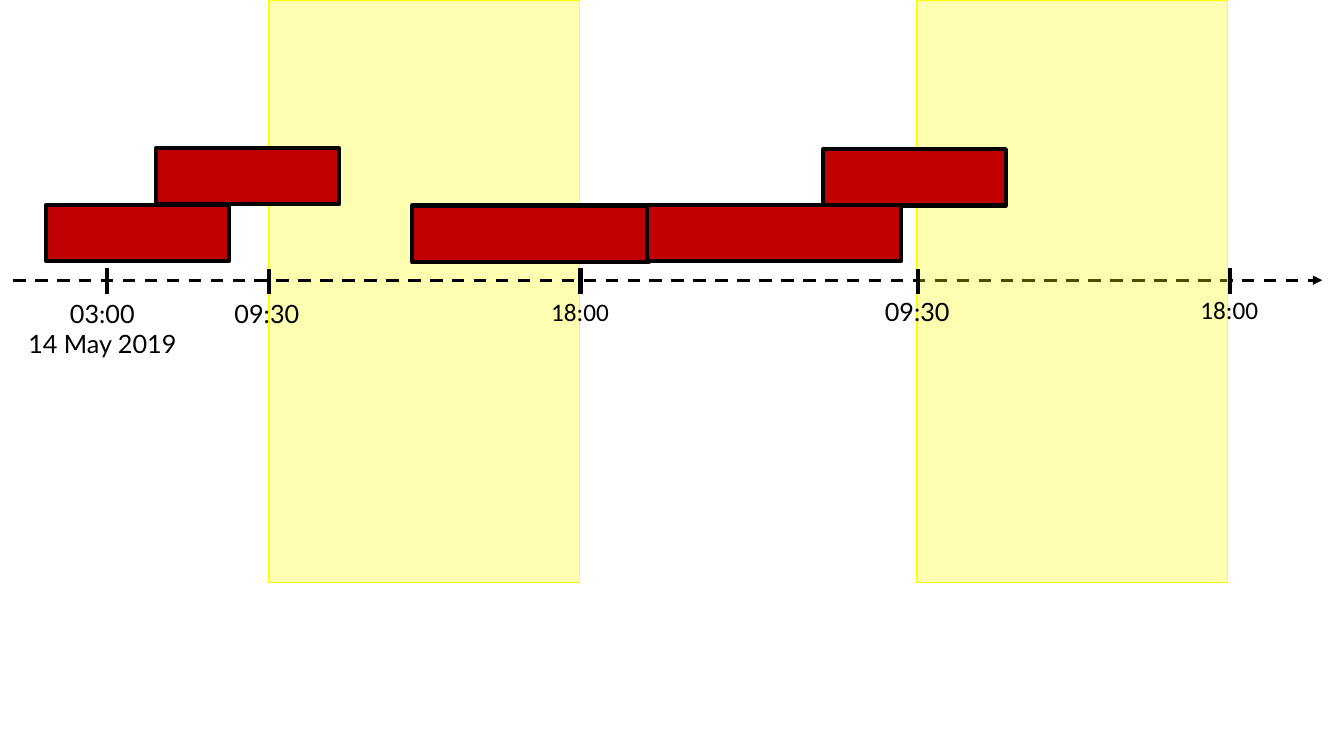
import pptx
import pptx.util
import pptx.dml.color
import pptx.enum.dml
import pptx.enum.shapes
import pptx.enum.text
import pptx.oxml
import pptx.oxml.ns
from pptx.util import Cm

# Content: all lengths in centimetres
BANDS = [6.78, 23.11]  # left edges of the working hours
BAND_SIZE = (7.82, 14.68)
AXIS = (0.33, 33.32, 7.06)  # start, end, height on the page
BAR_HEIGHT = 1.42
BARS = [  # left, top, width
    (1.17, 5.16, 4.6),
    (3.94, 3.73, 4.6),
    (10.39, 5.18, 5.97),
    (20.75, 3.76, 4.6),
    (16.31, 5.16, 6.4),
]
TICK_LENGTH = 0.64
TICKS = [(2.69, 6.76), (6.78, 6.78), (14.63, 6.76), (23.14, 6.78), (30.99, 6.76)]
LABELS = [  # lines, font role, left, top, width, height
    (["03:00", "14 May 2019"], "date_font", 0.41, 7.39, 4.34, 1.8),
    (["09:30"], "date_font", 5.66, 7.39, 2.16, 1.02),
    (["18:00"], "close_font", 13.64, 7.34, 1.98, 1.02),
    (["09:30"], "date_font", 22.05, 7.34, 2.16, 1.02),
    (["18:00"], "close_font", 30, 7.29, 1.98, 1.02),
]

THEME = {
    "band": "FFFF00",
    "bar": "C00000",
    "ink": "000000",
    "date_font": "Lato",
    "close_font": "Calibri",
    "text_size": 18,
    "band_line": 1,
    "axis_line": 2.25,
    "heavy_line": 3,
    "band_alpha": 30,
}


def color(role):
    return pptx.dml.color.RGBColor.from_string(THEME[role])


def add_xml(parent, tag, **attributes):
    child = pptx.oxml.parse_xml(f"<{tag} {pptx.oxml.ns.nsdecls('a')}/>")
    for key, value in attributes.items():
        child.set(key, value)
    parent.append(child)


def add_box(page, left, top, width, height, fill, line, weight):
    box = page.shapes.add_shape(
        pptx.enum.shapes.MSO_SHAPE.RECTANGLE, Cm(left), Cm(top), Cm(width), Cm(height))
    box.shadow.inherit = False
    box.fill.solid()
    box.fill.fore_color.rgb = color(fill)
    box.line.color.rgb = color(line)
    box.line.width = pptx.util.Pt(THEME[weight])
    return box


def add_band(page, left):
    band = add_box(page, left, 0, *BAND_SIZE, "band", "band", "band_line")
    fill_color = band._element.spPr.find(
        "./" + pptx.oxml.ns.qn("a:solidFill") + "/" + pptx.oxml.ns.qn("a:srgbClr"))
    add_xml(fill_color, "a:alpha", val=str(THEME["band_alpha"] * 1000))


def add_line(page, x1, y1, x2, y2, weight, arrow=False):
    line = page.shapes.add_connector(
        pptx.enum.shapes.MSO_CONNECTOR.STRAIGHT, Cm(x1), Cm(y1), Cm(x2), Cm(y2))
    line.line.color.rgb = color("ink")
    line.line.width = pptx.util.Pt(THEME[weight])
    if arrow:
        line.line.dash_style = pptx.enum.dml.MSO_LINE.DASH
        add_xml(line.line._get_or_add_ln(), "a:tailEnd", type="triangle")
    add_xml(line._element.spPr, "a:effectLst")


def add_label(page, lines, font, left, top, width, height):
    frame = page.shapes.add_textbox(Cm(left), Cm(top), Cm(width), Cm(height)).text_frame
    frame.word_wrap = False
    frame.auto_size = pptx.enum.text.MSO_AUTO_SIZE.SHAPE_TO_FIT_TEXT
    for index, text in enumerate(lines):
        para = frame.add_paragraph() if index else frame.paragraphs[0]
        if len(lines) > 1:
            para.alignment = pptx.enum.text.PP_ALIGN.CENTER
        span = para.add_run()
        span.text = text
        span.font.name = THEME[font]
        span.font.size = pptx.util.Pt(THEME["text_size"])
        span.font.color.rgb = color("ink")


def main():
    deck = pptx.Presentation()
    deck.slide_width, deck.slide_height = Cm(33.87), Cm(19.05)
    page = deck.slides.add_slide(deck.slide_layouts[6])

    # Working hours: the axis runs over the first band and under the second
    start, end, level = AXIS
    add_band(page, BANDS[0])
    add_line(page, start, level, end, level, "axis_line", arrow=True)
    add_band(page, BANDS[1])

    # Bars above the axis
    for left, top, width in BARS:
        add_box(page, left, top, width, BAR_HEIGHT, "bar", "ink", "heavy_line")

    # Time marks and their labels
    for x, top in TICKS:
        add_line(page, x, top, x, top + TICK_LENGTH, "heavy_line")
    for label in LABELS:
        add_label(page, *label)

    deck.save("out.pptx")


if __name__ == "__main__":
    main()
